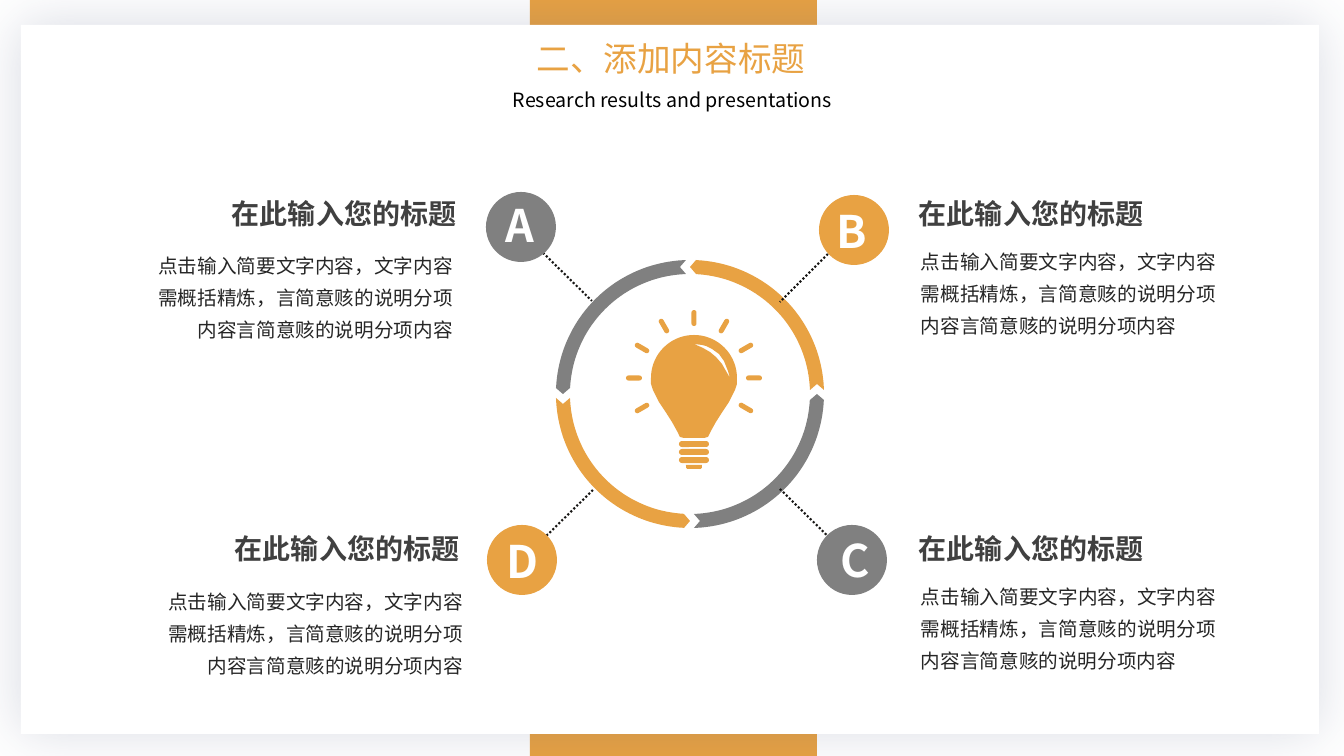
"""Build a slide with a light bulb in a four-part ring and a topic at each corner."""
from math import cos, radians, sin

from lxml.etree import SubElement
from pptx import Presentation
from pptx.dml.color import RGBColor
from pptx.enum.dml import MSO_LINE
from pptx.enum.shapes import MSO_CONNECTOR, MSO_SHAPE
from pptx.enum.text import MSO_AUTO_SIZE, PP_ALIGN
from pptx.oxml.ns import qn
from pptx.util import Pt

PX = 914400 / 100.8
FONT = "Noto Sans CJK SC"
ORANGE, GRAY, WHITE = "E8A243", "808080", "FFFFFF"
HEADING = "在此输入您的标题"
BODY = "点击输入简要文字内容，文字内容需概括精炼，言简意赅的说明分项内容言简意赅的说明分项内容"


def paint(sp, color):
    sp.shadow.inherit = False
    sp.fill.solid()
    sp.fill.fore_color.rgb = RGBColor.from_string(color)
    sp.line.fill.background()
    return sp


def add_text(text, box, size, color, bold=False, align=PP_ALIGN.LEFT, spacing=None, wrap=True):
    tf = s.shapes.add_textbox(*[round(v * PX) for v in box]).text_frame
    tf.word_wrap = wrap
    tf.auto_size = MSO_AUTO_SIZE.SHAPE_TO_FIT_TEXT
    p = tf.paragraphs[0]
    p.alignment = align
    if spacing:
        p.line_spacing = Pt(spacing)
    r = p.add_run()
    r.text = text
    r.font.size = Pt(size)
    r.font.bold = bold
    r.font.name = FONT
    r.font.color.rgb = RGBColor.from_string(color)
    SubElement(r._r.get_or_add_rPr(), qn("a:ea"), typeface=FONT)


prs = Presentation()
prs.slide_width, prs.slide_height = round(1344 * PX), round(756 * PX)
s = prs.slides.add_slide(prs.slide_layouts[6])

for box, color in [((530, 0, 287, 756), ORANGE), ((21, 25, 1298, 709), WHITE)]:
    panel = paint(s.shapes.add_shape(MSO_SHAPE.RECTANGLE, *[round(v * PX) for v in box]), color)
effects = panel._element.spPr.find(qn("a:effectLst"))
shadow = SubElement(effects, qn("a:outerShdw"), blurRad=str(Pt(40)), dist="0", algn="ctr", rotWithShape="0")
tint = SubElement(shadow, qn("a:srgbClr"), val="434E77")
SubElement(tint, qn("a:alpha"), val="20000")

add_text("二、添加内容标题", (398, 33, 546, 50), 24, ORANGE, align=PP_ALIGN.CENTER)
add_text("Research results and presentations", (323, 83, 699, 34), 14, "000000", align=PP_ALIGN.CENTER)

ring_x, ring_y, outer, inner, middle = 690, 394, 134, 120, 127
arc = [(cos(radians(a)), sin(radians(a))) for a in range(-87, -1, 2)]
segment = [(outer * x, outer * y) for x, y in arc]
segment += [(outer, -4), (middle, -10), (inner, -4)]
segment += [(inner * x, inner * y) for x, y in reversed(arc)]
segment += [(6, -inner), (0, -middle), (6, -outer)]
for color in [ORANGE, GRAY, ORANGE, GRAY]:
    points = [(round((ring_x + x) * PX), round((ring_y + y) * PX)) for x, y in segment]
    fb = s.shapes.build_freeform(*points[0])
    fb.add_line_segments(points[1:])
    paint(fb.convert_to_shape(), color)
    segment = [(y, -x) for x, y in segment]

bulb_x, bulb_y, radius, ray_distance = 694, 378, 43, 60
half = [(radius * sin(radians(a)), bulb_y - radius * cos(radians(a))) for a in range(0, 91, 5)]
half += [(43, 384), (41, 390), (38, 396), (35, 402), (29, 411), (22, 422), (17, 431), (14, 437), (10, 438)]
outline = [(bulb_x + x, y) for x, y in half] + [(bulb_x - x, y) for x, y in reversed(half)]
glint = [(694, 344), (702, 345), (706, 346), (712, 349), (719, 354), (724, 361), (728, 371), (730, 378),
         (726, 371), (722, 364), (716, 357), (710, 352), (703, 348)]
outline, glint = [[(round(x * PX), round(y * PX)) for x, y in c] for c in (outline, glint)]
fb = s.shapes.build_freeform(*outline[0])
fb.add_line_segments(outline[1:])
fb.move_to(*glint[0])
fb.add_line_segments(glint[1:])
paint(fb.convert_to_shape(), ORANGE)

bars = [(bulb_x, y, 30, 6, 0) for y in (444, 452, 460)]
bars += [(bulb_x + ray_distance * cos(radians(a)), bulb_y + ray_distance * sin(radians(a)), 16, 5, a)
         for a in range(-210, 31, 30)]
for x, y, w, h, angle in bars:
    box = (x - w / 2, y - h / 2, w, h)
    bar = paint(s.shapes.add_shape(MSO_SHAPE.ROUNDED_RECTANGLE, *[round(v * PX) for v in box]), ORANGE)
    bar.adjustments[0] = 0.5
    bar.rotation = angle
cap = paint(s.shapes.add_shape(MSO_SHAPE.ROUND_2_SAME_RECTANGLE,
                               *[round(v * PX) for v in (686, 465, 16, 4)]), ORANGE)
cap.adjustments[0] = 0.5
cap.rotation = 180

topics = [
    ("A", GRAY, (531, 241, 592, 301), (486, 192), (496, 193), (222, 192), (148, 240), PP_ALIGN.RIGHT),
    ("B", ORANGE, (828, 254, 780, 302), (819, 195), (827, 199), (909, 192), (911, 236), PP_ALIGN.JUSTIFY),
    ("C", GRAY, (780, 489, 844, 552), (817, 525), (831, 528), (909, 527), (911, 571), PP_ALIGN.JUSTIFY),
    ("D", ORANGE, (593, 490, 529, 553), (487, 525), (497, 529), (225, 527), (158, 576), PP_ALIGN.RIGHT),
]
for letter, color, ends, badge, letter_at, heading_at, body_at, align in topics:
    link = s.shapes.add_connector(MSO_CONNECTOR.STRAIGHT, *[round(v * PX) for v in ends])
    link.line.color.rgb = RGBColor.from_string("181715")
    link.line.width = Pt(1.5)
    link.line.dash_style = MSO_LINE.ROUND_DOT
    SubElement(link._element.spPr, qn("a:effectLst"))
    paint(s.shapes.add_shape(MSO_SHAPE.OVAL, *[round(v * PX) for v in (*badge, 70, 70)]), color)
    add_text(letter, (*letter_at, 48, 64), 32, WHITE, bold=True, wrap=False)
    add_text(HEADING, (*heading_at, 253, 44), 20, "404040", bold=True, align=PP_ALIGN.JUSTIFY)
    add_text(BODY, (*body_at, 315, 108), 14, "262626", align=align, spacing=23)

prs.save("out.pptx")
